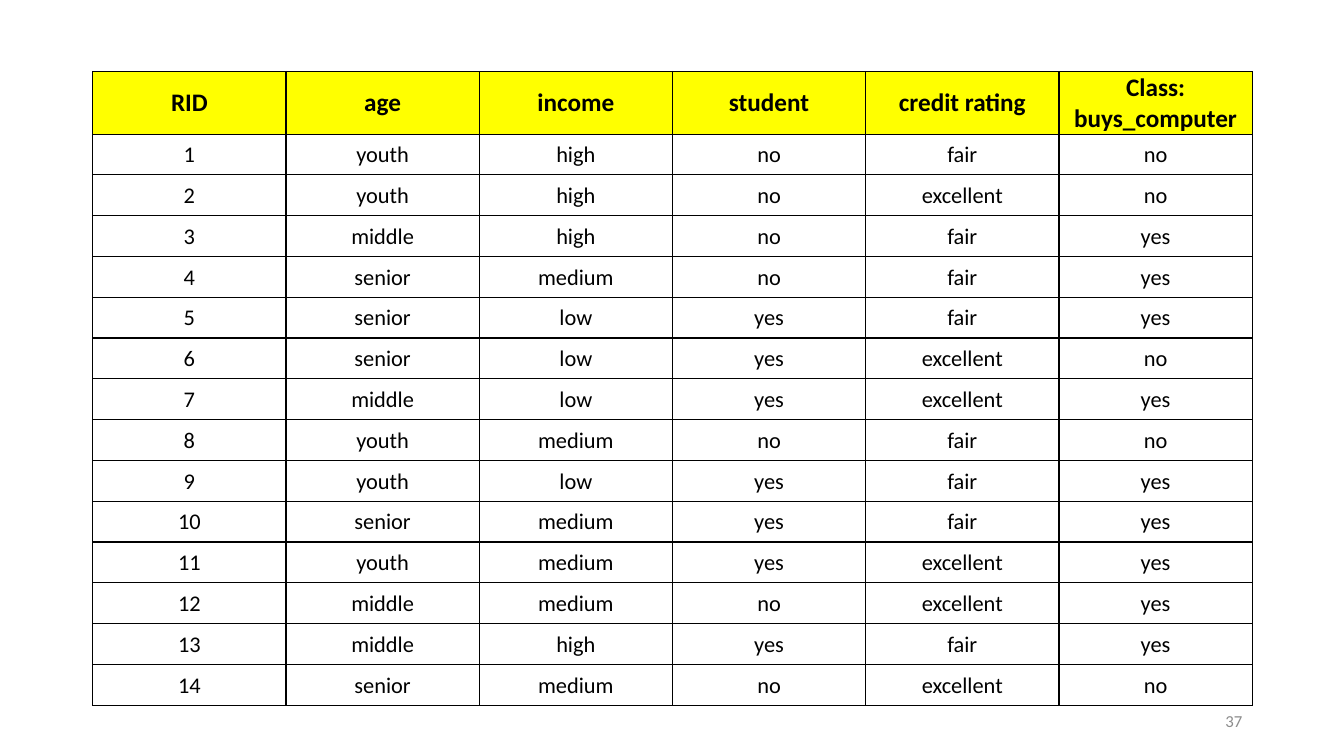
from dataclasses import dataclass

from lxml.etree import SubElement
from pptx import Presentation
from pptx.dml.color import RGBColor
from pptx.enum.text import MSO_ANCHOR, PP_ALIGN
from pptx.oxml.ns import qn
from pptx.util import Inches, Pt


@dataclass(frozen=True)
class Theme:
    font: str = "Calibri"
    text: str = "000000"
    muted: str = "8C8C8C"
    border: str = "000000"
    header_fill: str = "FFFF00"
    body_fill: str = "FFFFFF"
    header_size: int = 18
    body_size: int = 16
    number_size: int = 12
    border_width: int = 1


THEME = Theme()
HEADER = ("RID", "age", "income", "student", "credit rating", "Class: buys_computer")
CUSTOMERS = (
    ("youth", "high", "no", "fair", "no"),
    ("youth", "high", "no", "excellent", "no"),
    ("middle", "high", "no", "fair", "yes"),
    ("senior", "medium", "no", "fair", "yes"),
    ("senior", "low", "yes", "fair", "yes"),
    ("senior", "low", "yes", "excellent", "no"),
    ("middle", "low", "yes", "excellent", "yes"),
    ("youth", "medium", "no", "fair", "no"),
    ("youth", "low", "yes", "fair", "yes"),
    ("senior", "medium", "yes", "fair", "yes"),
    ("youth", "medium", "yes", "excellent", "yes"),
    ("middle", "medium", "no", "excellent", "yes"),
    ("middle", "high", "yes", "fair", "yes"),
    ("senior", "medium", "no", "excellent", "no"),
)
TABLE_LEFT, TABLE_TOP = Inches(0.92), Inches(0.71)
TABLE_WIDTH, TABLE_HEIGHT = Inches(11.5), Inches(6.29)
HEADER_HEIGHT = Inches(0.62)


def style_paragraph(paragraph, size, color, alignment, bold=False):
    paragraph.alignment = alignment
    paragraph.font.name = THEME.font
    paragraph.font.size = Pt(size)
    paragraph.font.bold = bold
    paragraph.font.color.rgb = RGBColor.from_string(color)


def add_cell_borders(cell):
    """Draw all four edges; call before filling, as borders precede the fill in XML."""
    properties = cell._tc.get_or_add_tcPr()
    for edge in ("a:lnL", "a:lnR", "a:lnT", "a:lnB"):
        line = SubElement(properties, qn(edge), w=str(Pt(THEME.border_width)))
        fill = SubElement(line, qn("a:solidFill"))
        SubElement(fill, qn("a:srgbClr"), val=THEME.border)


def fill_cell(cell, text, is_header):
    cell.text = text
    cell.vertical_anchor = MSO_ANCHOR.MIDDLE
    cell.margin_left = cell.margin_right = cell.margin_top = Inches(0.01)
    cell.margin_bottom = 0
    add_cell_borders(cell)
    cell.fill.solid()
    color = THEME.header_fill if is_header else THEME.body_fill
    cell.fill.fore_color.rgb = RGBColor.from_string(color)
    size = THEME.header_size if is_header else THEME.body_size
    style_paragraph(cell.text_frame.paragraphs[0], size, THEME.text,
                    PP_ALIGN.CENTER, is_header)


def add_customer_table(slide):
    records = [HEADER]
    records += [(str(rid), *customer) for rid, customer in enumerate(CUSTOMERS, 1)]
    table = slide.shapes.add_table(len(records), len(HEADER), TABLE_LEFT, TABLE_TOP,
                                   TABLE_WIDTH, TABLE_HEIGHT).table
    table.horz_banding = False
    body_height = (TABLE_HEIGHT - HEADER_HEIGHT) // len(CUSTOMERS)
    for row_index, record in enumerate(records):
        is_header = row_index == 0
        table.rows[row_index].height = HEADER_HEIGHT if is_header else body_height
        for column_index, text in enumerate(record):
            fill_cell(table.cell(row_index, column_index), text, is_header)


def add_slide_number(slide, number):
    box = slide.shapes.add_textbox(Inches(9.42), Inches(6.95), Inches(3), Inches(0.4))
    frame = box.text_frame
    frame.word_wrap = True
    frame.vertical_anchor = MSO_ANCHOR.MIDDLE
    frame.text = number
    style_paragraph(frame.paragraphs[0], THEME.number_size, THEME.muted, PP_ALIGN.RIGHT)


def main():
    presentation = Presentation()
    presentation.slide_width = Inches(13.33)
    presentation.slide_height = Inches(7.5)
    blank_layout = presentation.slide_layouts[6]
    slide = presentation.slides.add_slide(blank_layout)
    add_customer_table(slide)
    add_slide_number(slide, "37")
    presentation.save("out.pptx")


if __name__ == "__main__":
    main()
